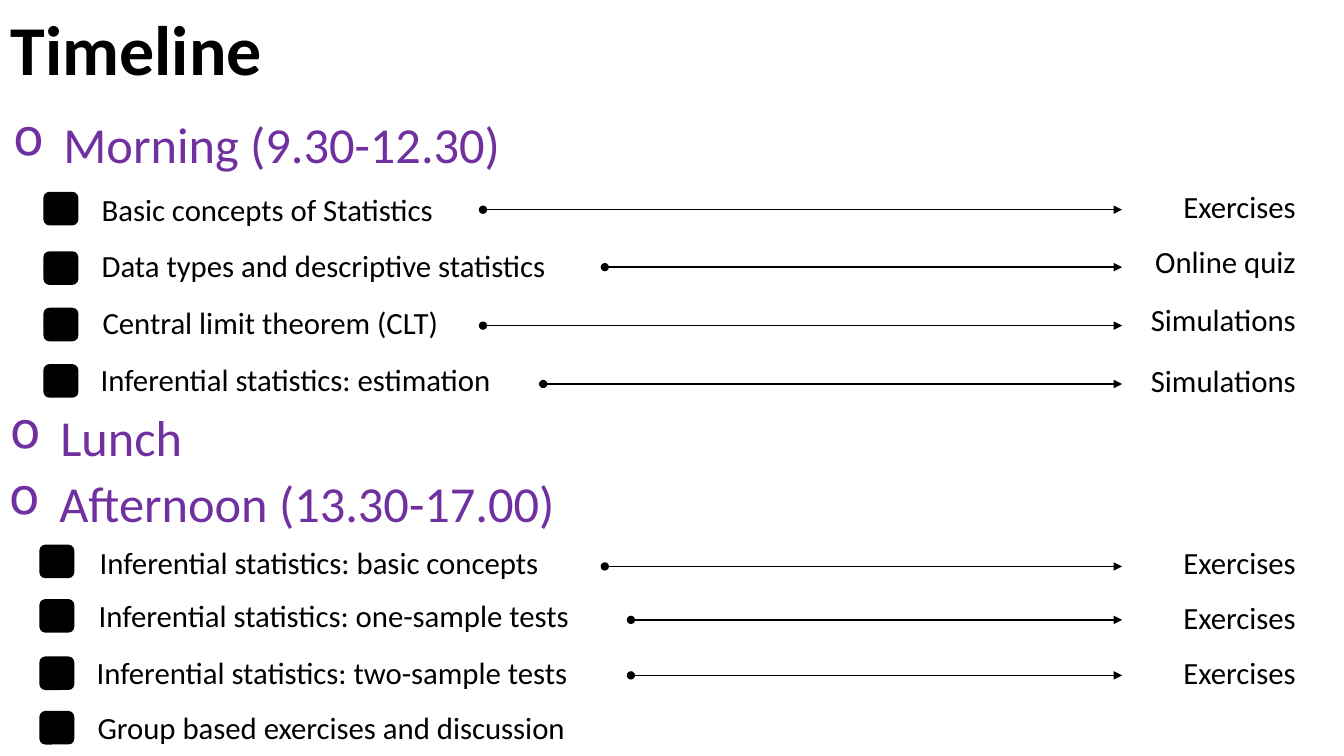
from lxml import etree
from pptx import Presentation
from pptx.dml.color import RGBColor
from pptx.enum.shapes import MSO_CONNECTOR, MSO_SHAPE
from pptx.enum.text import MSO_AUTO_SIZE, PP_ALIGN
from pptx.oxml.ns import qn
from pptx.util import Pt

ROUNDED = MSO_SHAPE.ROUNDED_RECTANGLE
STRAIGHT = MSO_CONNECTOR.STRAIGHT
RIGHT = PP_ALIGN.RIGHT
FIT = MSO_AUTO_SIZE.SHAPE_TO_FIT_TEXT
BLACK, PURPLE = "000000", "7030A0"
ARROW_END, LABEL_RIGHT = 801.5, 932.6

# Each topic: text, left, top, square top, then arrow (start, y) and label (text, top).
MORNING = [
    ("Basic concepts of Statistics", 63.3, 55.5, 60.5, (345, 72.8), ("Exercises", 53.3)),
    ("Data types and descriptive statistics", 63.3, 95.8, 103, (432, 113.8), ("Online quiz", 92.9)),
    ("Central limit theorem (CLT)", 64, 136.1, 143.3, (345, 155.6), ("Simulations", 134)),
    ("Inferential statistics: estimation", 62.6, 177.2, 183.6, (388, 197.3), ("Simulations", 177.9)),
]
AFTERNOON = [
    ("Inferential statistics: basic concepts", 64.8, 51.1, 56.1, (432, 71.2), ("Exercises", 51.1)),
    ("Inferential statistics: one-sample tests", 64.1, 89.2, 95, (450.7, 109.4), ("Exercises", 90.7)),
    ("Inferential statistics: two-sample tests", 62.6, 130.3, 136, (450.7, 149), ("Exercises", 130.3)),
    ("Group based exercises and discussion", 63.3, 169.2, 174.9, None, None),
]


def rgb(value):
    """Turn a hex string into a colour."""
    return RGBColor.from_string(value)


def add_text(s, x, y, w, h, text, size, color=BLACK, bold=False, align=None, bullet=None):
    """Add a one-paragraph text box, with a hanging bullet if one is given."""
    tf = s.shapes.add_textbox(Pt(x), Pt(y), Pt(w), Pt(h)).text_frame
    tf.word_wrap = True
    tf.auto_size = FIT
    tf.text = text
    p = tf.paragraphs[0]
    if align is not None:
        p.alignment = align
    if bullet:
        pPr = p._p.get_or_add_pPr()
        pPr.set("marL", str(Pt(36)))
        pPr.set("indent", str(-Pt(36)))
        etree.SubElement(pPr, qn("a:buChar")).set("char", bullet)
    font = p.runs[0].font
    font.name, font.size, font.bold = "Calibri", Pt(size), bold
    font.color.rgb = rgb(color)


def add_square(s, x, y):
    """Add the black rounded marker of a topic."""
    sp = s.shapes.add_shape(ROUNDED, Pt(x), Pt(y), Pt(24), Pt(23))
    sp.shadow.inherit = False
    sp.fill.solid()
    sp.fill.fore_color.rgb = rgb(BLACK)
    sp.line.color.rgb = rgb(BLACK)
    sp.line.width = Pt(1)


def add_arrow(s, x1, x2, y):
    """Add a level arrow that starts with a dot."""
    line = s.shapes.add_connector(STRAIGHT, Pt(x1), Pt(y), Pt(x2), Pt(y))
    line.line.color.rgb = rgb(BLACK)
    line.line.width = Pt(1)
    ln = line.line._get_or_add_ln()
    for tag, kind in (("a:headEnd", "oval"), ("a:tailEnd", "triangle")):
        etree.SubElement(ln, qn(tag)).set("type", kind)
    etree.SubElement(line._element.spPr, qn("a:effectLst"))


def add_section(s, x, y, w, heading, topics=()):
    """Place a heading and its topics relative to the top left corner."""
    add_text(s, x, y, w, 51, heading, 36, PURPLE, bullet="o")
    for text, left, top, square_top, arrow, label in topics:
        add_square(s, x + 29.3, y + square_top)
        add_text(s, x + left, y + top, 450, 34, text, 22)
        if arrow:
            start, line_y = arrow
            add_arrow(s, start, ARROW_END, y + line_y)
        if label:
            activity, label_top = label
            add_text(s, LABEL_RIGHT - 131, y + label_top, 131, 34, activity, 22, align=RIGHT)


def main():
    """Build and save the timeline slide."""
    prs = Presentation()
    prs.slide_width, prs.slide_height = Pt(960), Pt(540)
    s = prs.slides.add_slide(prs.slide_layouts[6])
    add_text(s, 0.7, 0.7, 196.6, 67.7, "Timeline", 50, bold=True)
    add_section(s, 2.2, 77, 783, "Morning (9.30-12.30)", MORNING)
    add_section(s, 0, 286.6, 156, "Lunch")
    add_section(s, -0.7, 333.4, 783, "Afternoon (13.30-17.00)", AFTERNOON)
    prs.save("out.pptx")


if __name__ == "__main__":
    main()
